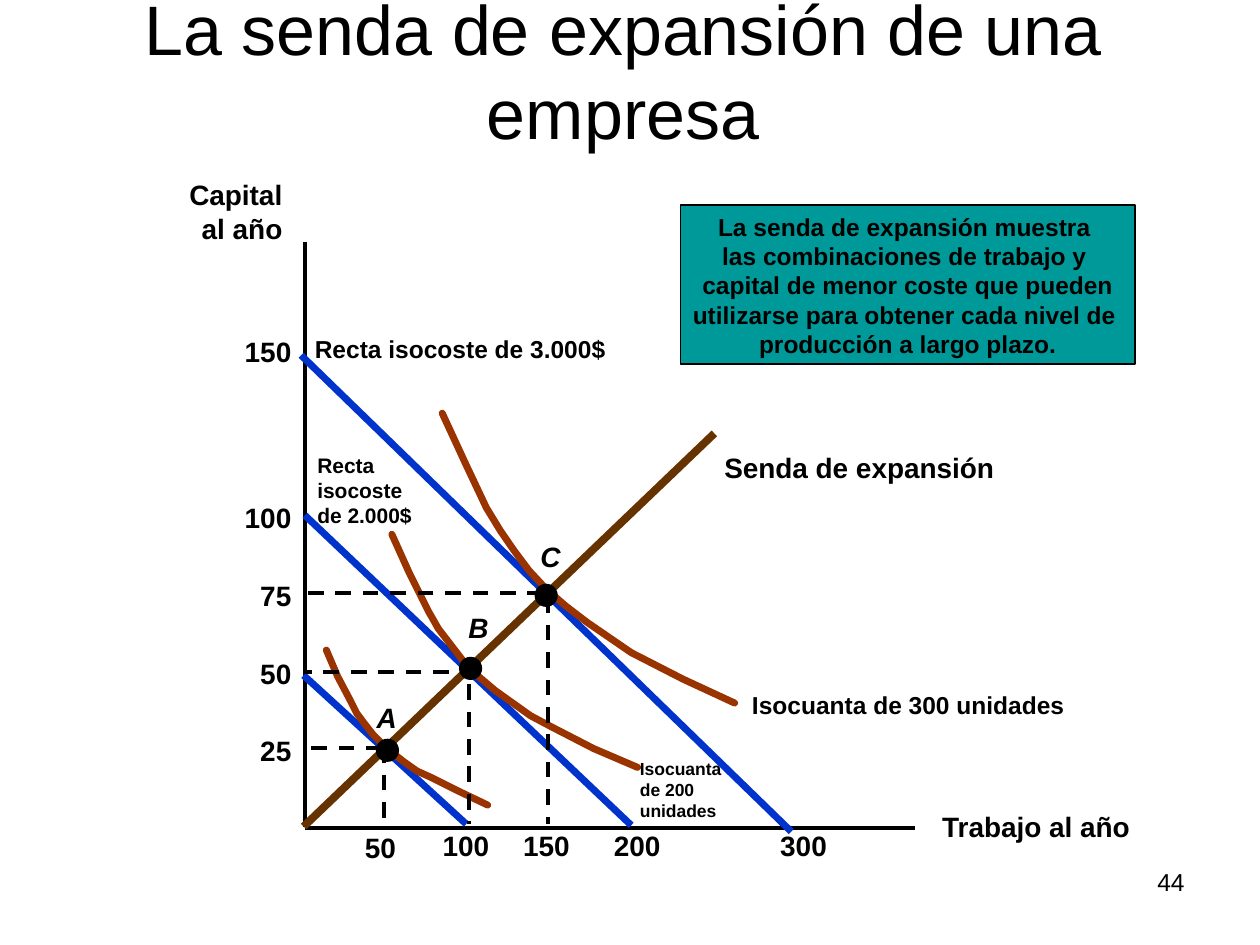
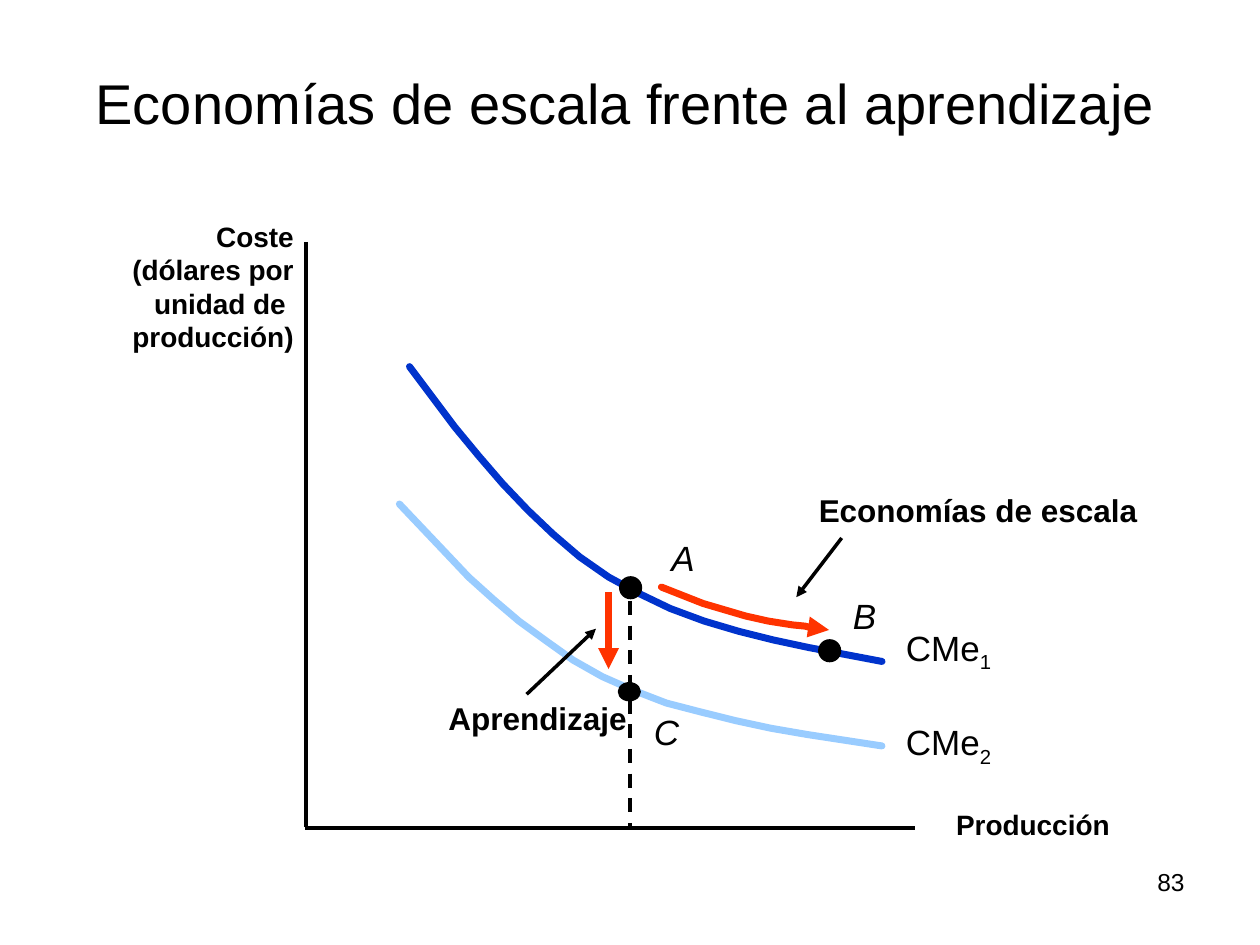
import pptx
import pptx.util
import pptx.dml.color
import pptx.enum.dml
import pptx.enum.shapes
import pptx.enum.text
import pptx.oxml
import pptx.oxml.ns

PX = 9144
FONT = "Arial"
BLACK, BLUE, SKY = "000000", "0033CC", "99CCFF"
RUST, BROWN, TEAL, RED = "993300", "663300", "009999", "FF3300"
LEFT, MID, RIGHT = (pptx.enum.text.PP_ALIGN.LEFT, pptx.enum.text.PP_ALIGN.CENTER,
                    pptx.enum.text.PP_ALIGN.RIGHT)
TOP, BASE = pptx.enum.text.MSO_ANCHOR.TOP, pptx.enum.text.MSO_ANCHOR.BOTTOM


def px(*nums):
    """Turn px lengths into EMU."""
    return [pptx.util.Emu(num * PX) for num in nums]


def tint(hue):
    """Turn a hex string into a colour."""
    return pptx.dml.color.RGBColor.from_string(hue)


def ink(shape, hue, size, dash=False, tip=False, soft=False):
    """Style a line with an optional dash, arrowhead and round ends."""
    line = shape.line
    line.color.rgb = tint(hue)
    line.width = pptx.util.Pt(size)
    if dash:
        line.dash_style = pptx.enum.dml.MSO_LINE.DASH
    node = shape._element.spPr.find(pptx.oxml.ns.qn("a:ln"))
    space = pptx.oxml.ns.nsdecls("a")
    if soft:
        node.set("cap", "rnd")
        node.append(pptx.oxml.parse_xml(f"<a:round {space}/>"))
    if tip:
        node.append(pptx.oxml.parse_xml(f'<a:tailEnd {space} type="triangle"/>'))


def write(shape, words, size, align=LEFT, bold=False, slant=False, wrap=False, anchor=TOP):
    """Fill a shape with one paragraph for each line of words."""
    frame = shape.text_frame
    frame.text = words
    frame.word_wrap = wrap
    frame.vertical_anchor = anchor
    for para in frame.paragraphs:
        para.alignment = align
        font = para.font
        font.name, font.size = FONT, pptx.util.Pt(size)
        font.bold, font.italic = bold, slant
        font.color.rgb = tint(BLACK)


def label(slide, box, words, size=16, **style):
    """Add a text box and return it."""
    shape = slide.shapes.add_textbox(*px(*box))
    write(shape, words, size, **style)
    return shape


def rule(slide, ends, hue=BLACK, size=2, **style):
    """Add a straight line."""
    line = slide.shapes.add_connector(pptx.enum.shapes.MSO_CONNECTOR.STRAIGHT, *px(*ends))
    ink(line, hue, size, **style)
    line._element.spPr.append(pptx.oxml.parse_xml(
        f'<a:effectLst {pptx.oxml.ns.nsdecls("a")}/>'))


def curve(slide, spots, hue, tip=False):
    """Add an open curve through the spots."""
    build = slide.shapes.build_freeform(*spots[0], scale=PX)
    build.add_line_segments(spots[1:], close=False)
    shape = build.convert_to_shape()
    shape.shadow.inherit = False
    shape.fill.background()
    ink(shape, hue, 4, tip=tip, soft=True)


def solid(slide, kind, box, hue):
    """Add a filled shape with a thin black outline."""
    shape = slide.shapes.add_shape(kind, *px(*box))
    shape.shadow.inherit = False
    shape.fill.solid()
    shape.fill.fore_color.rgb = tint(hue)
    ink(shape, BLACK, 1)
    return shape


def dot(slide, left, top, high=17):
    """Mark a point on a curve."""
    solid(slide, pptx.enum.shapes.MSO_SHAPE.OVAL, (left, top, 17, high), BLACK)


def start(deck, title, size, left, top, page, axis):
    """Add a slide with its title, page number and two axes."""
    slide = deck.slides.add_slide(deck.slide_layouts[6])
    label(slide, (left, top, 873, 85), title, size, align=MID, wrap=True, anchor=BASE)
    label(slide, (717, 683, 233, 52), page, 14, align=RIGHT, wrap=True)
    rule(slide, (axis, 192, axis, 656))
    rule(slide, (242, 657, 726, 657))
    return slide


def level(slide, cost, spots, mark, name, place, across, down):
    """Draw an isocost line, its isoquant and their tangent point."""
    rule(slide, cost, BLUE, 4)
    curve(slide, spots, RUST)
    for ends in (across, down):
        rule(slide, ends, size=2.25, dash=True)
    dot(slide, *mark)
    label(slide, (*place, 34, 36), name, bold=True, slant=True, wrap=True)


def growth(deck):
    """Build the expansion path slide."""
    slide = start(deck, "La senda de expansión de una empresa", 40, 58, 42, "44", 242)
    label(slide, (738, 638, 170, 36), "Trabajo al año", bold=True)
    label(slide, (140, 136, 94, 63), "Capital\nal año", align=RIGHT, bold=True)
    rule(slide, (241, 656, 567, 344), BROWN, 4.5)
    label(slide, (565, 353, 234, 36), "Senda de expansión", bold=True)
    note = solid(slide, pptx.enum.shapes.MSO_SHAPE.RECTANGLE, (540, 163, 361, 126), TEAL)
    write(note, "La senda de expansión muestra \nlas combinaciones de trabajo y \n"
          "capital de menor coste que pueden\nutilizarse para obtener cada nivel de \n"
          "producción a largo plazo.", 14, align=MID, bold=True)

    for words, top in (("25", 577), ("50", 516), ("75", 454), ("100", 392), ("150", 261)):
        label(slide, (177, top, 64, 36), words, align=RIGHT, bold=True, wrap=True)
    for words, edge in (("50", 324), ("100", 398), ("150", 462), ("200", 534), ("300", 666)):
        top = 654 if words == "50" else 653
        label(slide, (edge - 64, top, 64, 36), words, align=RIGHT, bold=True, wrap=True)

    level(slide, (241, 536, 370, 654),
          [(259, 516), (268, 537), (278, 556), (283, 566), (289, 574), (296, 583), (304, 591),
           (312, 598), (321, 605), (331, 612), (342, 617), (364, 628), (387, 639)],
          (299, 587), "A", (289, 551), (303, 594, 241, 594), (305, 593, 305, 654))
    level(slide, (242, 409, 501, 655),
          [(311, 424), (325, 455), (340, 485), (348, 499), (358, 512), (368, 525), (380, 537),
           (393, 548), (407, 558), (421, 568), (438, 577), (471, 594), (506, 609)],
          (365, 522), "B", (362, 480), (378, 533, 241, 533), (372, 543, 372, 654))
    level(slide, (239, 282, 628, 660),
          [(351, 328), (369, 367), (386, 403), (397, 421), (408, 437), (420, 453), (434, 468),
           (449, 481), (466, 494), (501, 518), (542, 539), (583, 558)],
          (425, 464), "C", (419, 423), (431, 471, 237, 471), (435, 474, 435, 654))

    for box, words, size in (
            ((242, 354, 100, 90), "Recta\nisocoste\nde 2.000$", 12),
            ((498, 597, 92, 60), "Isocuanta\nde 200\nunidades", 10),
            ((240, 260, 262, 33), "Recta isocoste de 3.000$", 14),
            ((587, 543, 274, 33), "Isocuanta de 300 unidades", 14)):
        label(slide, box, words, size, bold=True, wrap=True)


def scale(deck):
    """Build the slide on scale economies and learning."""
    slide = start(deck, "Economías de escala frente al aprendizaje", 32, 60, 28, "83", 243)
    label(slide, (749, 636, 142, 36), "Producción", bold=True)
    label(slide, (95, 169, 148, 116), "Coste\n(dólares por\n unidad de \nproducción)",
          align=RIGHT, bold=True)

    curve(slide, [(325, 291), (361, 339), (380, 362), (399, 384), (419, 405), (439, 424),
                  (460, 442), (483, 458), (507, 471), (532, 483), (559, 493), (586, 501),
                  (614, 508), (642, 514), (700, 525)], BLUE)
    curve(slide, [(525, 466), (558, 479), (575, 484), (592, 489), (610, 493), (629, 496),
                  (639, 497), (647, 499), (653, 499), (658, 500)], RED, tip=True)
    rule(slide, (500, 477, 500, 657), dash=True)
    curve(slide, [(317, 400), (354, 439), (372, 458), (392, 476), (412, 493), (434, 509),
                  (455, 524), (478, 537), (503, 548), (529, 558), (556, 565), (584, 572),
                  (612, 578), (641, 583), (700, 592)], SKY)
    rule(slide, (483, 470, 483, 531), RED, 4, tip=True)

    dot(slide, 492, 458)
    dot(slide, 650, 508)
    dot(slide, 491, 542, 14)
    for name, left, top in (("A", 523, 421), ("B", 667, 467), ("C", 509, 559)):
        label(slide, (left, top, 38, 43), name, 20, slant=True)
    for digit, top in (("1", 492), ("2", 567)):
        para = label(slide, (709, top, 88, 48), "CMe", 20).text_frame.paragraphs[0]
        run = para.add_run()
        run.text = digit
        run.font._element.set("baseline", "-25000")

    label(slide, (640, 385, 273, 40), "Economías de escala", 18, bold=True)
    rule(slide, (668, 427, 632, 474), tip=True)
    label(slide, (346, 550, 162, 40), "Aprendizaje", 18, bold=True)
    rule(slide, (418, 551, 473, 499), tip=True)


def main():
    """Build and save the deck."""
    deck = pptx.Presentation()
    deck.slide_width, deck.slide_height = px(1000, 750)
    growth(deck)
    scale(deck)
    deck.save("out.pptx")


if __name__ == "__main__":
    main()
